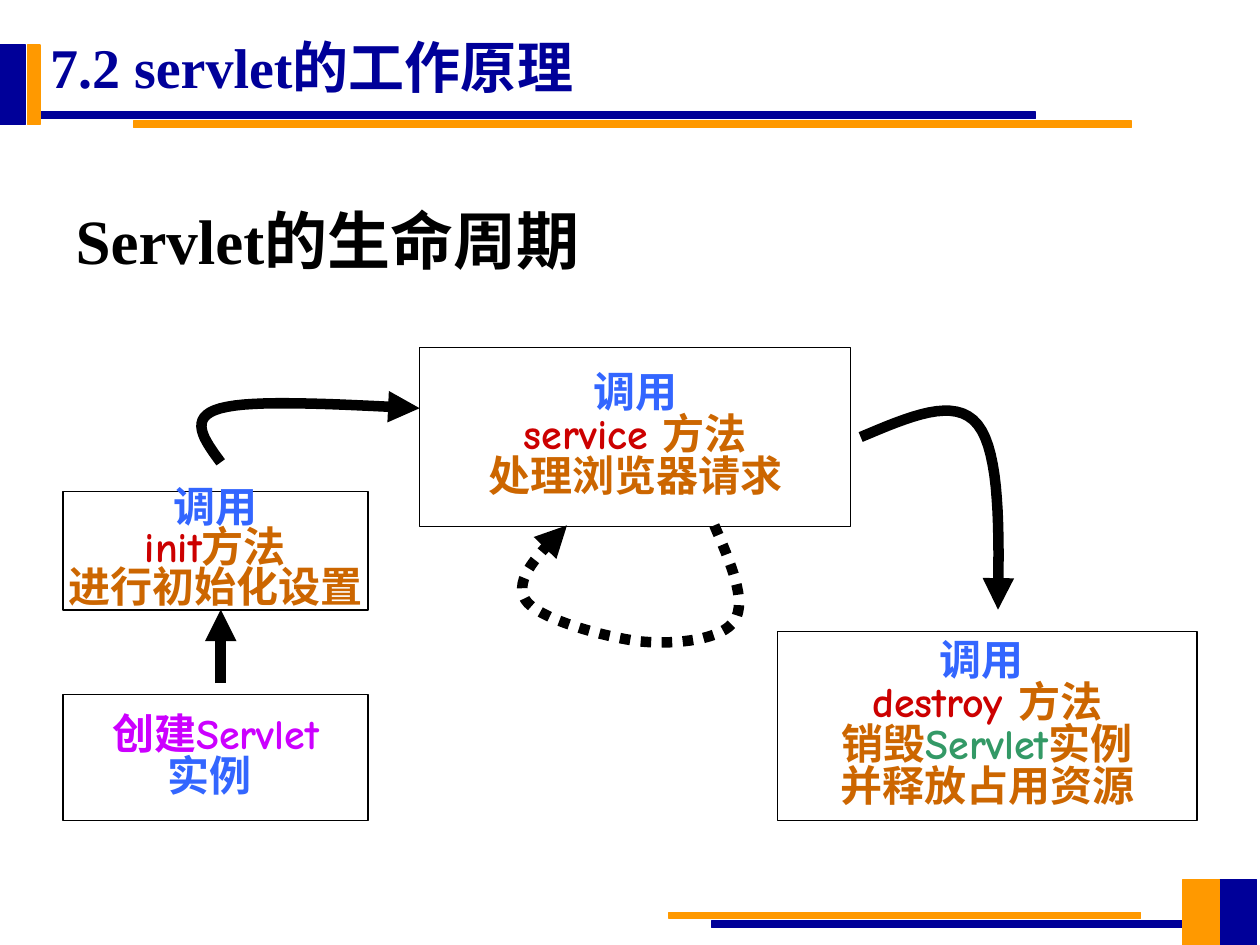
from lxml.etree import SubElement
from pptx import Presentation
from pptx.dml.color import RGBColor
from pptx.enum.dml import MSO_LINE_DASH_STYLE as Dash
from pptx.enum.shapes import MSO_CONNECTOR, MSO_SHAPE
from pptx.enum.text import MSO_ANCHOR, PP_ALIGN
from pptx.oxml.ns import qn
from pptx.util import Cm, Pt

NAVY = RGBColor(0x00, 0x00, 0x99)
ORANGE = RGBColor(0xFF, 0x99, 0x00)
BLACK = RGBColor(0x00, 0x00, 0x00)
WHITE = RGBColor(0xFF, 0xFF, 0xFF)
BLUE = RGBColor(0x33, 0x66, 0xFF)
RED = RGBColor(0xCC, 0x00, 0x00)
BROWN = RGBColor(0xCC, 0x66, 0x00)
PURPLE = RGBColor(0xCC, 0x00, 0xFF)
GREEN = RGBColor(0x33, 0x99, 0x66)

SERIF = "Times New Roman"
COMIC = "Comic Neue"
CHINESE = "Noto Sans CJK SC"
CURVE_STEPS = 16

BARS = [
    (24.59, 17.73, 0.74, 1.32, NAVY),
    (13.49, 18.39, 9.5, 0.13, ORANGE),
    (14.35, 18.57, 9.5, 0.13, NAVY),
    (23.85, 17.73, 0.74, 1.32, ORANGE),
    (0.76, 2.26, 20.12, 0.13, NAVY),
    (2.69, 2.44, 20.12, 0.13, ORANGE),
    (0, 0.91, 0.51, 1.6, NAVY),
    (0.56, 0.91, 0.25, 1.6, ORANGE),
]

STAGES = [
    ((1.27, 9.91, 6.15, 2.39), 23, [
        [(" 调用 ", BLUE)],
        [("init", RED), ("方法", BROWN)],
        [("进行初始化设置", BROWN)],
    ]),
    ((1.27, 14, 6.15, 2.54), 24, [
        [("创建Servlet", PURPLE)],
        [(" 实例", BLUE)],
    ]),
    ((8.46, 7.01, 8.69, 3.61), 24, [
        [("调用", BLUE)],
        [("service ", RED), ("方法", BROWN)],
        [("处理浏览器请求", BROWN)],
    ]),
    ((15.67, 12.73, 8.46, 3.81), 24, [
        [(" 调用", BLUE)],
        [("destroy ", RED), ("方法", BROWN)],
        [("销毁", BROWN), ("Servlet", GREEN), ("实例", BROWN)],
        [("并释放占用资源", BROWN)],
    ]),
]

INIT_TO_SERVICE = [
    (4.45, 9.32), (4.11, 8.86), (3.78, 8.41), (4.45, 8.23),
    (5.11, 8.05), (6.78, 8.15), (8.46, 8.23),
]
SERVICE_TO_DESTROY = [
    (17.35, 8.81), (18.31, 8.41), (19.25, 7.98), (19.71, 8.56),
    (20.17, 9.14), (20.14, 10.72), (20.12, 12.29),
]
SERVICE_LOOP = [
    (14.4, 10.59), (14.73, 11.35), (15.06, 12.12), (14.81, 12.5),
    (14.58, 12.9), (13.61, 13), (12.9, 12.93),
    (12.22, 12.85), (10.82, 12.47), (10.59, 12.09),
    (10.34, 11.68), (10.87, 11.15), (11.43, 10.59),
]


def format_run(run, size, color, latin):
    """Give a run its size, colour and Latin and Chinese fonts."""
    font = run.font
    font.size = Pt(size)
    font.bold = True
    font.color.rgb = color
    font.name = latin
    properties = run._r.get_or_add_rPr()
    east_asian = properties.makeelement(qn("a:ea"), {"typeface": CHINESE})
    properties.find(qn("a:latin")).addnext(east_asian)


def add_rectangle(slide, position, fill, line):
    """Add a flat rectangle with a thin outline."""
    shape = slide.shapes.add_shape(MSO_SHAPE.RECTANGLE, *map(Cm, position))
    shape.shadow.inherit = False
    shape.fill.solid()
    shape.fill.fore_color.rgb = fill
    shape.line.color.rgb = line
    shape.line.width = Pt(0.75)
    return shape


def add_stage(slide, position, spacing, lines):
    """Add a life-cycle box with centred coloured lines of text."""
    text_frame = add_rectangle(slide, position, WHITE, BLACK).text_frame
    text_frame.word_wrap = False
    text_frame.vertical_anchor = MSO_ANCHOR.MIDDLE
    for index, pieces in enumerate(lines):
        paragraph = text_frame.add_paragraph() if index else text_frame.paragraphs[0]
        paragraph.alignment = PP_ALIGN.CENTER
        paragraph.line_spacing = Pt(spacing)
        paragraph._p.get_or_add_pPr().set("rtl", "1")
        for text, color in pieces:
            run = paragraph.add_run()
            run.text = text
            format_run(run, 24, color, COMIC)


def write_heading(shape, text, size, color):
    """Write a left-aligned heading on one line."""
    text_frame = shape.text_frame
    text_frame.text = text
    text_frame.word_wrap = True
    paragraph = text_frame.paragraphs[0]
    paragraph.alignment = PP_ALIGN.LEFT
    format_run(paragraph.runs[0], size, color, SERIF)


def style_arrow(line):
    """Make a line thick and black with a triangular head at its end."""
    line.color.rgb = BLACK
    line.width = Pt(6)
    SubElement(line._get_or_add_ln(), qn("a:tailEnd"), type="triangle")


def add_straight_arrow(slide, start, end):
    """Add a straight arrow."""
    arrow = slide.shapes.add_connector(
        MSO_CONNECTOR.STRAIGHT, *map(Cm, start + end))
    style_arrow(arrow.line)
    SubElement(arrow._element.spPr, qn("a:effectLst"))


def bezier_point(controls, t):
    """Return the point of a cubic Bezier curve at t."""
    weights = ((1 - t) ** 3, 3 * t * (1 - t) ** 2, 3 * t ** 2 * (1 - t), t ** 3)
    return tuple(Cm(sum(weight * value for weight, value in zip(weights, values)))
                 for values in zip(*controls))


def add_curved_arrow(slide, controls, dash=None):
    """Add an arrow along joined cubic Bezier curves."""
    points = [bezier_point(controls[first:first + 4], step / CURVE_STEPS)
              for first in range(0, len(controls) - 1, 3)
              for step in range(1, CURVE_STEPS + 1)]
    builder = slide.shapes.build_freeform(*map(Cm, controls[0]))
    builder.add_line_segments(points, close=False)
    arrow = builder.convert_to_shape()
    arrow.shadow.inherit = False
    arrow.fill.background()
    if dash:
        arrow.line.dash_style = dash
    style_arrow(arrow.line)


def main():
    """Build the servlet life-cycle slide."""
    presentation = Presentation()
    presentation.slide_width = Cm(25.4)
    presentation.slide_height = Cm(19.05)
    slide = presentation.slides.add_slide(presentation.slide_layouts[5])

    for *position, color in BARS:
        add_rectangle(slide, position, color, color)

    section = slide.shapes.add_textbox(Cm(0.76), Cm(0.53), Cm(24.51), Cm(1.78))
    write_heading(section, "7.2 servlet的工作原理", 32, NAVY)

    title = slide.shapes.title
    title.left, title.top, title.width, title.height = map(
        Cm, (1.27, 3.94, 22.86, 1.78))
    write_heading(title, "Servlet的生命周期", 36, BLACK)
    title.text_frame.vertical_anchor = MSO_ANCHOR.MIDDLE

    add_straight_arrow(slide, (4.45, 13.77), (4.45, 12.29))
    for position, spacing, lines in STAGES:
        add_stage(slide, position, spacing, lines)
    add_curved_arrow(slide, INIT_TO_SERVICE)
    add_curved_arrow(slide, SERVICE_TO_DESTROY)
    add_curved_arrow(slide, SERVICE_LOOP, Dash.ROUND_DOT)

    presentation.save("out.pptx")


if __name__ == "__main__":
    main()
